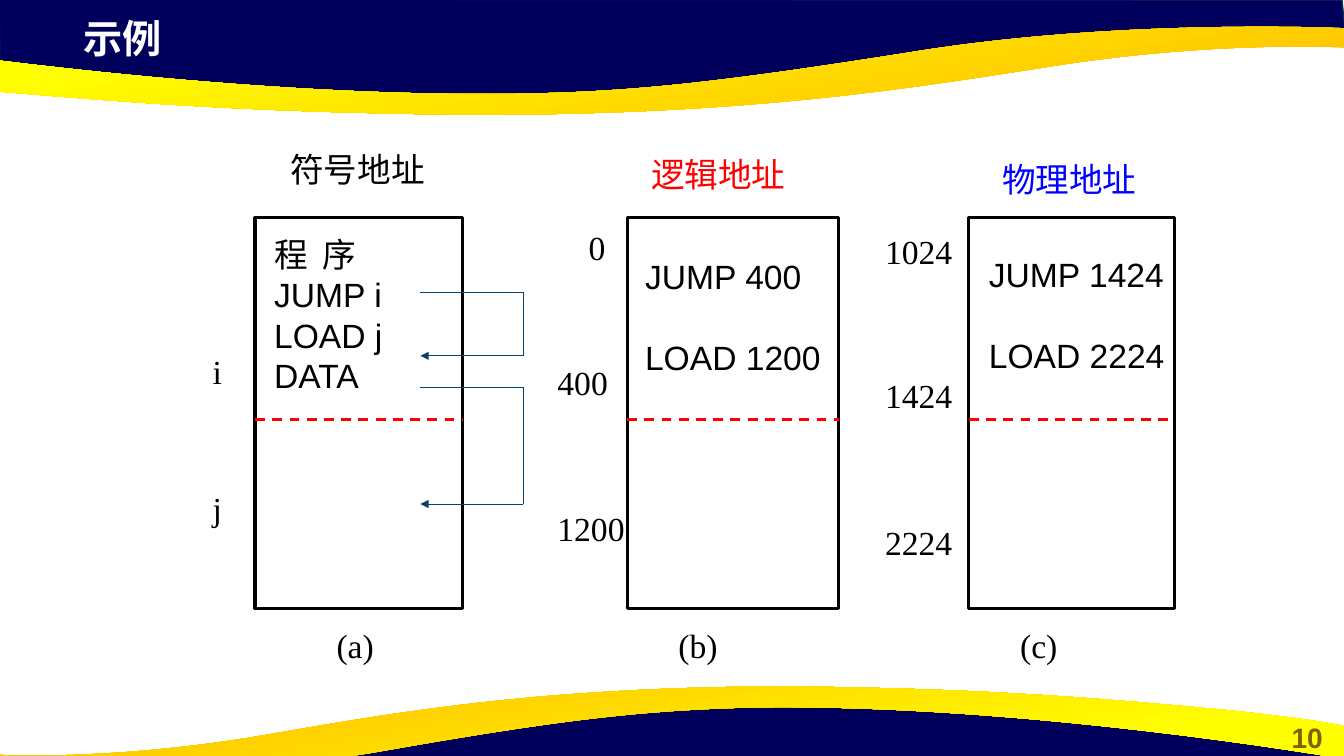
from lxml import etree
from pptx import Presentation
from pptx.dml.color import RGBColor
from pptx.enum.dml import MSO_LINE_DASH_STYLE as DASH
from pptx.enum.shapes import MSO_CONNECTOR, MSO_SHAPE
from pptx.enum.text import MSO_ANCHOR, PP_ALIGN
from pptx.oxml.ns import qn
from pptx.util import Inches, Pt

COLORS = {
    "navy": "00005C", "navy_edge": "05304F", "amber": "FFC000", "yellow": "FFFF00",
    "black": "000000", "white": "FFFFFF", "red": "FF0000", "blue": "0000FF",
    "arrow": "07416B", "page": "806000",
}
SANS, SERIF, CHINESE = "Arial", "Times New Roman", "Noto Sans CJK SC"
BOX_TOP, BOX_HEIGHT, DIVIDER_Y = 2.16, 3.88, 4.16
LINE_PITCH = 28.8

# Outlines of the wavy bands, in inches
TOP_NAVY = [(-0.01, -0.01), (0, 0.7), (2.93, 1.02), (5.59, 1), (7.95, 0.88),
            (10.16, 0.5), (12.38, 0.33), (13.35, 0.38), (13.31, 0)]
BOTTOM_NAVY = [(13.33, 7.94), (13.32, 7.24), (10.4, 6.91), (7.73, 6.93), (5.38, 7.06),
               (3.17, 7.43), (0.95, 7.6), (-0.03, 7.56), (0.01, 7.93)]
# Each step is one corner, or the two controls and the end of a curve
TOP_GOLD = [
    [(4.83, 1.14)],
    [(4.43, 1.14), (4.01, 1.13), (3.56, 1.12)],
    [(2.06, 1.08), (1.1, 1), (0.36, 0.94)],
    [(-0.88, 0.84), (-1.3, 0.75), (-1.33, 0.75)],
    [(-1.33, 0.42), (-1.33, 0.42), (-1.33, 0.42)],
    [(-1.33, 0.42), (2.18, 0.98), (5.17, 0.93)],
    [(6.26, 0.91), (7.08, 0.83), (9.15, 0.5)],
    [(11.21, 0.18), (13.33, 0.28), (13.33, 0.28)],
    [(13.33, 0.32)], [(13.33, 0.47)], [(13.3, 0.47)],
    [(13.05, 0.46), (11.95, 0.43), (10.55, 0.64)],
    [(9.18, 0.85), (7.62, 1.13), (4.83, 1.14)],
]
BOTTOM_GOLD = [
    [(7.72, 6.81)],
    [(8.09, 6.81), (8.47, 6.82), (8.88, 6.83)],
    [(10.25, 6.87), (11.12, 6.95), (11.79, 7.01)],
    [(12.92, 7.11), (13.3, 7.2), (13.33, 7.2)],
    [(13.33, 7.53), (13.33, 7.53), (13.33, 7.53)],
    [(13.33, 7.53), (10.14, 6.97), (7.42, 7.02)],
    [(6.42, 7.05), (5.67, 7.12), (3.8, 7.45)],
    [(1.92, 7.78), (-0.01, 7.68), (-0.01, 7.68)],
    [(-0.01, 7.64)], [(-0.01, 7.48)], [(0.02, 7.49)],
    [(0.25, 7.5), (1.25, 7.52), (2.52, 7.31)],
    [(3.76, 7.1), (5.19, 6.82), (7.72, 6.81)],
]


def rgb(name):
    return RGBColor.from_string(COLORS[name])


def add_outline(slide, points):
    corners = [(Inches(x), Inches(y)) for x, y in points]
    builder = slide.shapes.build_freeform(*corners[0])
    builder.add_line_segments(corners[1:], close=True)
    shape = builder.convert_to_shape()
    shape.shadow.inherit = False
    return shape


def bend_segments(shape, steps):
    """Give the straight segments their curve controls."""
    segments = list(shape._element.iter(qn("a:lnTo")))
    for segment, step in zip(segments, steps[1:]):
        if len(step) == 1:
            continue
        curve = etree.Element(qn("a:cubicBezTo"))
        for x, y in step:
            point = etree.SubElement(curve, qn("a:pt"))
            point.set("x", str(Inches(x) - shape.left))
            point.set("y", str(Inches(y) - shape.top))
        segment.getparent().replace(segment, curve)


def add_navy_band(slide, points):
    shape = add_outline(slide, points)
    shape.fill.solid()
    shape.fill.fore_color.rgb = rgb("navy")
    shape.line.color.rgb = rgb("navy_edge")
    shape.line.width = Pt(1)


def add_gold_band(slide, steps, angle):
    shape = add_outline(slide, [step[-1] for step in steps])
    bend_segments(shape, steps)
    shape.fill.gradient()
    shape.fill.gradient_angle = angle
    stops = ((0.11, "amber"), (0.78, "yellow"))
    for stop, (position, color) in zip(shape.fill.gradient_stops, stops):
        stop.position = position
        stop.color.rgb = rgb(color)
    shape.line.fill.background()


def add_text(slide, lines, left, top, width, height, font=SERIF, size=24, color="black",
             bold=False, align=PP_ALIGN.LEFT, anchor=MSO_ANCHOR.TOP, pitch=None, gap=0):
    box = slide.shapes.add_textbox(Inches(left), Inches(top), Inches(width), Inches(height))
    frame = box.text_frame
    frame.word_wrap = True
    frame.vertical_anchor = anchor
    frame.text = "\n".join(lines)
    for i, paragraph in enumerate(frame.paragraphs):
        paragraph.alignment = align
        if pitch:
            paragraph.line_spacing = Pt(pitch)
        if i and gap:
            paragraph.space_before = Pt(gap)
        paragraph.font.name = font
        paragraph.font.size = Pt(size)
        paragraph.font.bold = bold
        paragraph.font.color.rgb = rgb(color)
        defaults = paragraph._p.pPr.find(qn("a:defRPr"))
        etree.SubElement(defaults, qn("a:ea")).set("typeface", CHINESE)
    return frame


def add_line(slide, start, end, color, width, dashed=False, arrow=False):
    ends = [Inches(value) for value in (*start, *end)]
    connector = slide.shapes.add_connector(MSO_CONNECTOR.STRAIGHT, *ends)
    connector.line.color.rgb = rgb(color)
    connector.line.width = Pt(width)
    if dashed:
        connector.line.dash_style = DASH.DASH
    properties = connector._element.spPr
    if arrow:
        outline = properties.find(qn("a:ln"))
        etree.SubElement(outline, qn("a:tailEnd")).set("type", "triangle")
    etree.SubElement(properties, qn("a:effectLst"))


def add_memory(slide, left, width):
    """A memory block with its dashed divider."""
    block = slide.shapes.add_shape(MSO_SHAPE.RECTANGLE, Inches(left), Inches(BOX_TOP),
                                   Inches(width), Inches(BOX_HEIGHT))
    block.shadow.inherit = False
    block.fill.solid()
    block.fill.fore_color.rgb = rgb("white")
    block.line.color.rgb = rgb("black")
    block.line.width = Pt(2.25)
    add_line(slide, (left, DIVIDER_Y), (left + width, DIVIDER_Y), "red", 1.75, dashed=True)


def add_reference(slide, source_y, target_y, left=4.17, right=5.19):
    """A three-part arrow from an instruction to its target."""
    add_line(slide, (left, source_y), (right, source_y), "arrow", 0.5)
    add_line(slide, (right, source_y), (right, target_y), "arrow", 0.5)
    add_line(slide, (right, target_y), (left, target_y), "arrow", 0.5, arrow=True)


def main():
    presentation = Presentation()
    presentation.slide_width, presentation.slide_height = Inches(13.33), Inches(7.5)
    slide = presentation.slides.add_slide(presentation.slide_layouts[6])

    # Bands, page number and title
    add_navy_band(slide, TOP_NAVY)
    add_gold_band(slide, TOP_GOLD, 100)
    add_navy_band(slide, BOTTOM_NAVY)
    add_gold_band(slide, BOTTOM_GOLD, 280)
    add_text(slide, ["10"], 12.6, 7.09, 0.73, 0.44, SANS, 20, "page", True, PP_ALIGN.CENTER,
             MSO_ANCHOR.MIDDLE)
    add_text(slide, ["示例"], 0.73, 0.09, 7.68, 0.57, SANS, 28, "white", True,
             anchor=MSO_ANCHOR.MIDDLE)

    # Memory blocks
    for left, width in ((2.53, 2.06), (6.22, 2.1), (9.61, 2.04)):
        add_memory(slide, left, width)

    # Headings and captions
    for heading, left, top, color in (("符号地址", 2.78, 1.43, "black"),
                                      ("逻辑地址", 6.36, 1.48, "red"),
                                      ("物理地址", 9.84, 1.53, "blue")):
        add_text(slide, [heading], left, top, 1.74, 0.52, CHINESE, color=color)
    for caption, left in (("(a)", 3.24), ("(b)", 6.63), ("(c)", 10.02)):
        add_text(slide, [caption], left, 6.15, 1.03, 0.52)

    # Instructions, with a letter-spaced first line in the program
    program = add_text(slide, ["程 序", "JUMP i", "LOAD j DATA"], 2.62, 2.27, 1.95, 1.72,
                       SANS, pitch=LINE_PITCH)
    program.paragraphs[0]._p.pPr.find(qn("a:defRPr")).set("spc", "270")
    for lines, left, top in ((["JUMP 400", "LOAD 1200"], 6.3, 2.08),
                             (["JUMP 1424", "LOAD 2224"], 9.71, 2.06)):
        add_text(slide, lines, left, top, 2, 2.12, SANS, anchor=MSO_ANCHOR.MIDDLE,
                 pitch=LINE_PITCH, gap=LINE_PITCH)

    # Addresses beside the blocks
    for address, left, top, width in (
            ("i", 2.01, 3.43, 0.62), ("j", 2.01, 4.79, 0.62),
            ("0", 5.74, 2.2, 0.62), ("400", 5.43, 3.54, 0.82), ("1200", 5.43, 4.99, 1.03),
            ("1024", 8.68, 2.24, 1.03), ("1424", 8.68, 3.67, 1.03), ("2224", 8.68, 5.13, 1.03)):
        add_text(slide, [address], left, top, width, 0.52)

    # References from instructions to addresses
    add_reference(slide, 2.9, 3.53)
    add_reference(slide, 3.84, 5)

    presentation.save("out.pptx")


if __name__ == "__main__":
    main()
